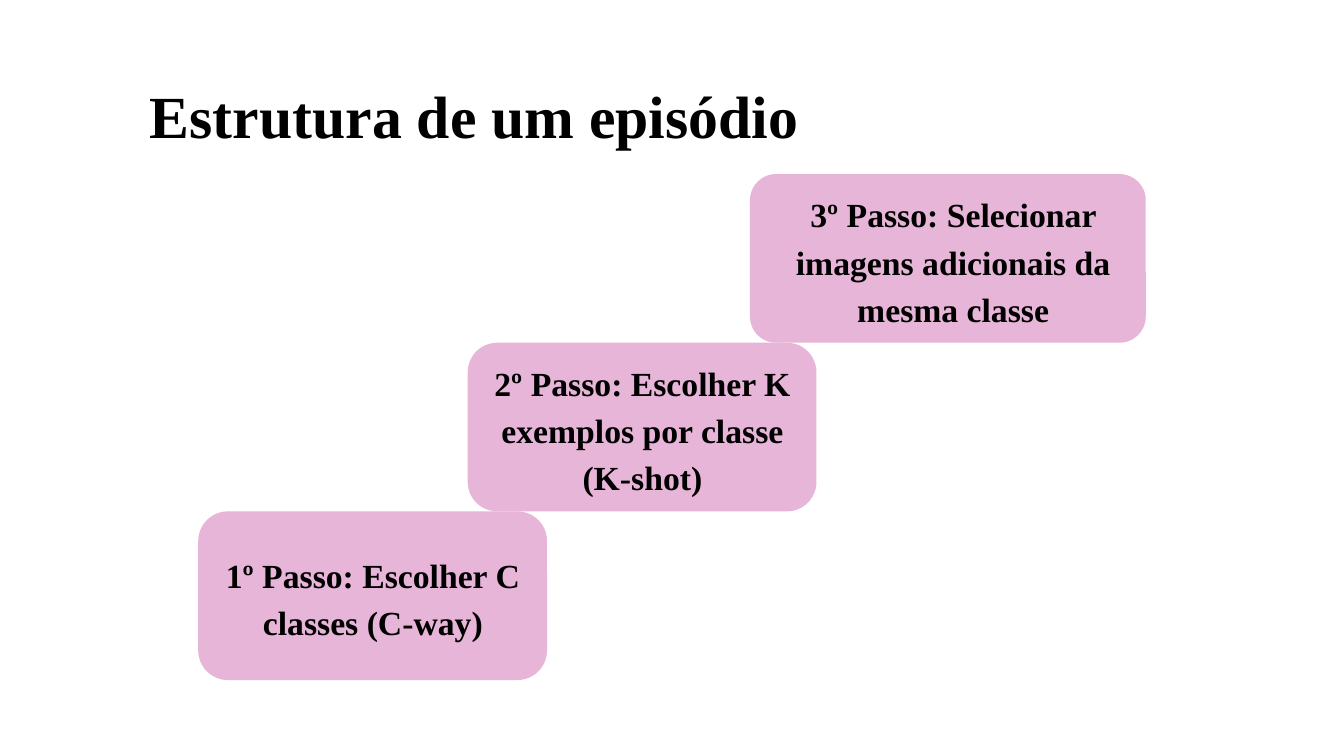
"""Build the slide on the three steps of an episode, as a rising staircase."""
from pptx import Presentation
from pptx.dml.color import RGBColor
from pptx.enum.shapes import MSO_SHAPE
from pptx.enum.text import MSO_ANCHOR, MSO_AUTO_SIZE, PP_ALIGN
from pptx.util import Inches, Pt

ROUNDED = MSO_SHAPE.ROUNDED_RECTANGLE
TOP = MSO_ANCHOR.TOP
NO_FIT = MSO_AUTO_SIZE.NONE
CENTER = PP_ALIGN.CENTER
TITLE_LAYOUT = 5
STEP_HEIGHT = 2.51
LOWEST_TOP = 7.61


def color(value):
    return RGBColor.from_string(value)


def write(box, text, size, spacing):
    frame = box.text_frame
    frame_format = {
        "word_wrap": True, "auto_size": NO_FIT, "vertical_anchor": TOP,
        "margin_left": 0, "margin_top": 0, "margin_right": 0, "margin_bottom": 0,
    }
    for name, value in frame_format.items():
        setattr(frame, name, value)
    para = frame.paragraphs[0]
    para.alignment = CENTER
    para.line_spacing = Pt(spacing)
    span = para.add_run()
    span.text = text
    font_format = {"name": "Times New Roman", "size": Pt(size), "bold": True}
    for name, value in font_format.items():
        setattr(span.font, name, value)
    span.font.color.rgb = color("000000")


deck = Presentation()
deck.slide_width = Inches(20)
deck.slide_height = Inches(11.25)
page = deck.slides.add_slide(deck.slide_layouts[TITLE_LAYOUT])
page.background.fill.solid()
page.background.fill.fore_color.rgb = color("FFFFFF")

title = page.shapes.title
title.left, title.top = Inches(1.12), Inches(1)
title.width, title.height = Inches(11.87), Inches(1.19)
write(title, "Estrutura de um episódio", 64, 89.6)

# left, width, corner radius; then text left, offset from step top, width, height
steps = [
    ("1º Passo: Escolher C classes (C-way)",
     2.95, 5.19, 0.44, 3.11, 0.55, 4.88, 1.35),
    ("2º Passo: Escolher K exemplos por classe (K-shot)",
     6.96, 5.19, 0.44, 7.12, 0.2, 4.88, 2.04),
    ("3º Passo: Selecionar imagens adicionais da mesma classe",
     11.16, 5.89, 0.39, 11.32, 0.2, 5.73, 2.04),
]
for index, (text, left, width, radius, text_left, offset, text_width, text_height) in enumerate(steps):
    top = LOWEST_TOP - index * STEP_HEIGHT
    card = page.shapes.add_shape(
        ROUNDED, Inches(left), Inches(top), Inches(width), Inches(STEP_HEIGHT))
    card.adjustments[0] = radius / STEP_HEIGHT
    card.shadow.inherit = False
    card.fill.solid()
    card.fill.fore_color.rgb = color("E7B5D7")
    card.line.fill.background()
    label = page.shapes.add_textbox(
        Inches(text_left), Inches(top + offset), Inches(text_width), Inches(text_height))
    write(label, text, 36.1, 50.5)

deck.save("out.pptx")
